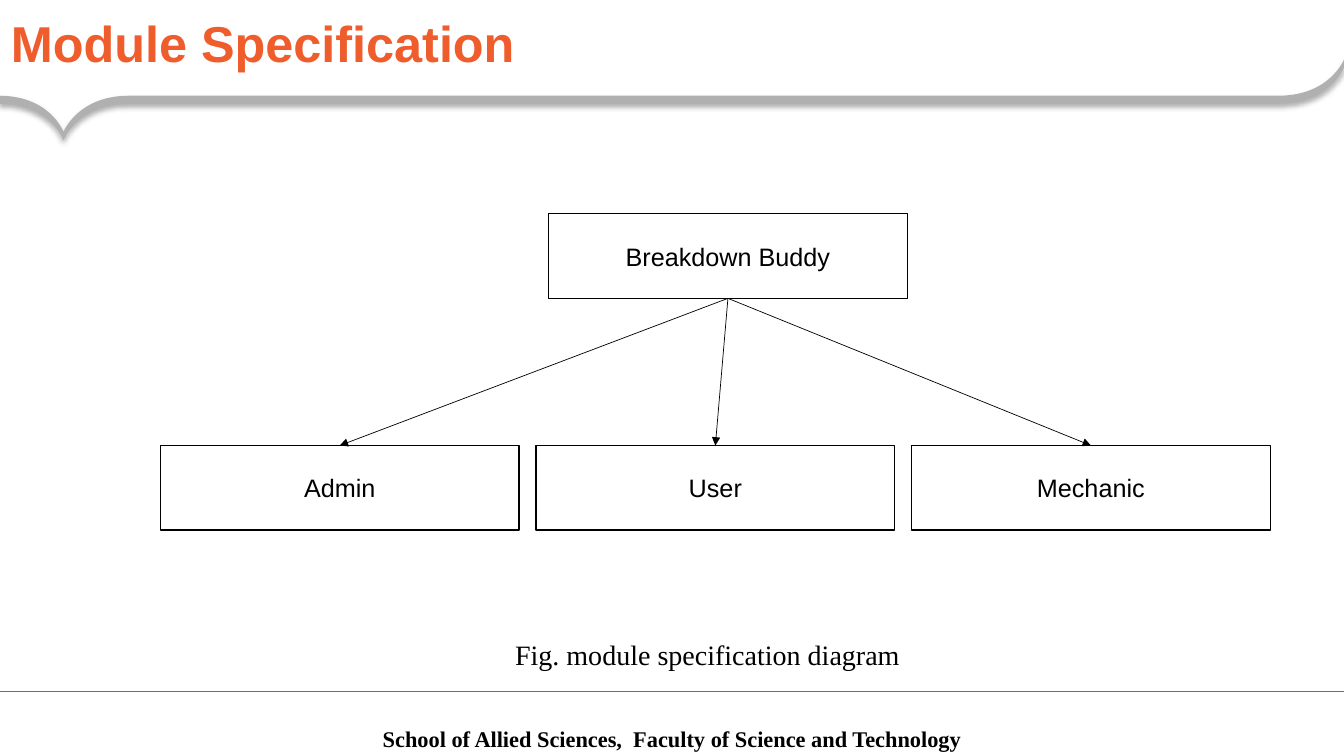
from dataclasses import dataclass

from lxml.etree import SubElement
from pptx import Presentation
from pptx.dml.color import RGBColor
from pptx.enum.shapes import MSO_CONNECTOR, MSO_SHAPE
from pptx.enum.text import MSO_ANCHOR, MSO_AUTO_SIZE, PP_ALIGN
from pptx.oxml.ns import qn
from pptx.shapes.autoshape import Shape
from pptx.shapes.connector import Connector
from pptx.slide import Slide
from pptx.util import Inches, Pt

ORANGE = RGBColor(0xF0, 0x5D, 0x2C)
GRAY = RGBColor(0xB0, 0xB0, 0xB0)
BLUE = RGBColor(0x44, 0x72, 0xC4)
BLACK = RGBColor(0, 0, 0)
WHITE = RGBColor(0xFF, 0xFF, 0xFF)

WIDE, HIGH = 13.33, 7.5
BAND_LEFT, BAND_TOP, BAND_DEPTH = -0.01, 0.59, 0.08

Point = tuple[float, float]


@dataclass(frozen=True)
class Box:
    left: float
    top: float
    width: float = 3.56
    height: float = 0.84
    text: str = ""
    line: RGBColor = BLACK
    fill: RGBColor | None = None


@dataclass(frozen=True)
class Label:
    text: str
    left: float
    top: float
    width: float
    height: float
    font: str
    size: int
    color: RGBColor = BLACK
    bold: bool = False
    align: PP_ALIGN = PP_ALIGN.LEFT
    anchor: MSO_ANCHOR = MSO_ANCHOR.TOP
    fit: MSO_AUTO_SIZE = MSO_AUTO_SIZE.NONE
    spacing: float = 1.0


PANELS = [
    Box(12.03, 4.76, 1.3, 2.73, line=WHITE, fill=WHITE),
    Box(12.42, 0, 0.91, 0.61, line=WHITE, fill=WHITE),
]
ROOT = Box(5.44, 2.12, text="Breakdown Buddy")
PITCH = (9.04 - 1.59) / 2
PARTS = [Box(1.59 + PITCH * i, 4.42, text=text)
         for i, text in enumerate(("Admin", "User", "Mechanic"))]

LABELS = [
    Label("Module Specification", 0.01, 0.08, 13.32, 0.75, "Arial", 36, ORANGE,
          bold=True, anchor=MSO_ANCHOR.MIDDLE, spacing=0.9),
    Label("School of Allied Sciences,  Faculty of Science and Technology",
          0, 7.14, WIDE, 0.37, "Times New Roman", 16, bold=True,
          align=PP_ALIGN.CENTER, fit=MSO_AUTO_SIZE.SHAPE_TO_FIT_TEXT),
    Label("Fig. module specification diagram", 5.01, 6.28, 4.75, 0.44,
          "Times New Roman", 20, fit=MSO_AUTO_SIZE.SHAPE_TO_FIT_TEXT),
]

UPPER: list[Point] = [
    (BAND_LEFT, 0.95),
    (0.5, 0.95), (0.63, 1.31), (0.63, 1.31),
    (0.63, 1.31), (0.77, 0.95), (1.28, 0.95),
    *[(12.68, 0.95)] * 3,
    (13.19, 0.95), (WIDE, BAND_TOP), (WIDE, BAND_TOP),
]


def style(shape: Shape, font: str, size: int, color: RGBColor,
          bold: bool, align: PP_ALIGN) -> None:
    for para in shape.text_frame.paragraphs:
        para.alignment = align
        for run in para.runs:
            run.font.name = font
            run.font.size = Pt(size)
            run.font.bold = bold
            run.font.color.rgb = color


def add_label(slide: Slide, label: Label) -> None:
    shape = slide.shapes.add_textbox(
        Inches(label.left), Inches(label.top),
        Inches(label.width), Inches(label.height))
    frame = shape.text_frame
    frame.text = label.text
    frame.word_wrap = True
    frame.auto_size = label.fit
    frame.vertical_anchor = label.anchor
    frame.paragraphs[0].line_spacing = label.spacing
    style(shape, label.font, label.size, label.color, label.bold, label.align)


def add_box(slide: Slide, box: Box) -> Shape:
    shape = slide.shapes.add_shape(
        MSO_SHAPE.RECTANGLE, Inches(box.left), Inches(box.top),
        Inches(box.width), Inches(box.height))
    shape.shadow.inherit = False
    if box.fill is None:
        shape.fill.background()
    else:
        shape.fill.solid()
        shape.fill.fore_color.rgb = box.fill
    shape.line.color.rgb = box.line
    shape.line.width = Pt(1)
    if box.text:
        shape.text_frame.text = box.text
        shape.text_frame.vertical_anchor = MSO_ANCHOR.MIDDLE
        style(shape, "Arial", 18, BLACK, False, PP_ALIGN.CENTER)
    return shape


def add_line(slide: Slide, start: Point, end: Point,
             color: RGBColor, width: float) -> Connector:
    line = slide.shapes.add_connector(
        MSO_CONNECTOR.STRAIGHT, *map(Inches, start + end))
    line.line.color.rgb = color
    line.line.width = Pt(width)
    SubElement(line._element.spPr, qn("a:effectLst"))
    return line


def add_arrow(slide: Slide, root: Shape, part: Shape) -> None:
    arrow = add_line(slide, (0, 0), (1, 1), BLACK, 0.5)
    arrow.begin_connect(root, 2)
    arrow.end_connect(part, 0)
    SubElement(arrow.line._get_or_add_ln(), qn("a:tailEnd"), type="triangle")


def bend(band: Shape, points: list[Point]) -> None:
    lines = list(band._element.iter(qn("a:lnTo")))
    for i, line in enumerate(lines):
        curve = line.makeelement(qn("a:cubicBezTo"))
        for x, y in points[3 * i:3 * i + 3]:
            SubElement(curve, qn("a:pt"), x=str(Inches(x) - Inches(BAND_LEFT)),
                       y=str(Inches(y) - Inches(BAND_TOP)))
        line.getparent().replace(line, curve)


def add_band(slide: Slide) -> None:
    lower = [(x, y + BAND_DEPTH) for x, y in reversed(UPPER)]
    points = UPPER[1:] + lower[:1] * 3 + lower[1:] + UPPER[:1] * 3
    pen = slide.shapes.build_freeform(*map(Inches, UPPER[0]))
    pen.add_line_segments(
        [(Inches(x), Inches(y)) for x, y in points[2::3]], close=True)
    band = pen.convert_to_shape()
    bend(band, points)
    band.fill.solid()
    band.fill.fore_color.rgb = GRAY
    band.line.fill.background()
    band.shadow.inherit = False
    effects = band._element.spPr.find(qn("a:effectLst"))
    shade = SubElement(effects, qn("a:outerShdw"), blurRad=str(Pt(4)),
                       dist=str(Pt(2)), dir="5400000", rotWithShape="0")
    tint = SubElement(shade, qn("a:srgbClr"), val="000000")
    SubElement(tint, qn("a:alpha"), val="31000")


def main() -> None:
    deck = Presentation()
    deck.slide_width, deck.slide_height = Inches(WIDE), Inches(HIGH)
    slide = deck.slides.add_slide(deck.slide_layouts[6])
    for panel in PANELS:
        add_box(slide, panel)
    add_band(slide)
    add_line(slide, (WIDE, 6.86), (BAND_LEFT, 6.86), BLUE, 0.75)
    for label in LABELS:
        add_label(slide, label)
    root = add_box(slide, ROOT)
    for part in PARTS:
        add_arrow(slide, root, add_box(slide, part))
    deck.save("out.pptx")


if __name__ == "__main__":
    main()
